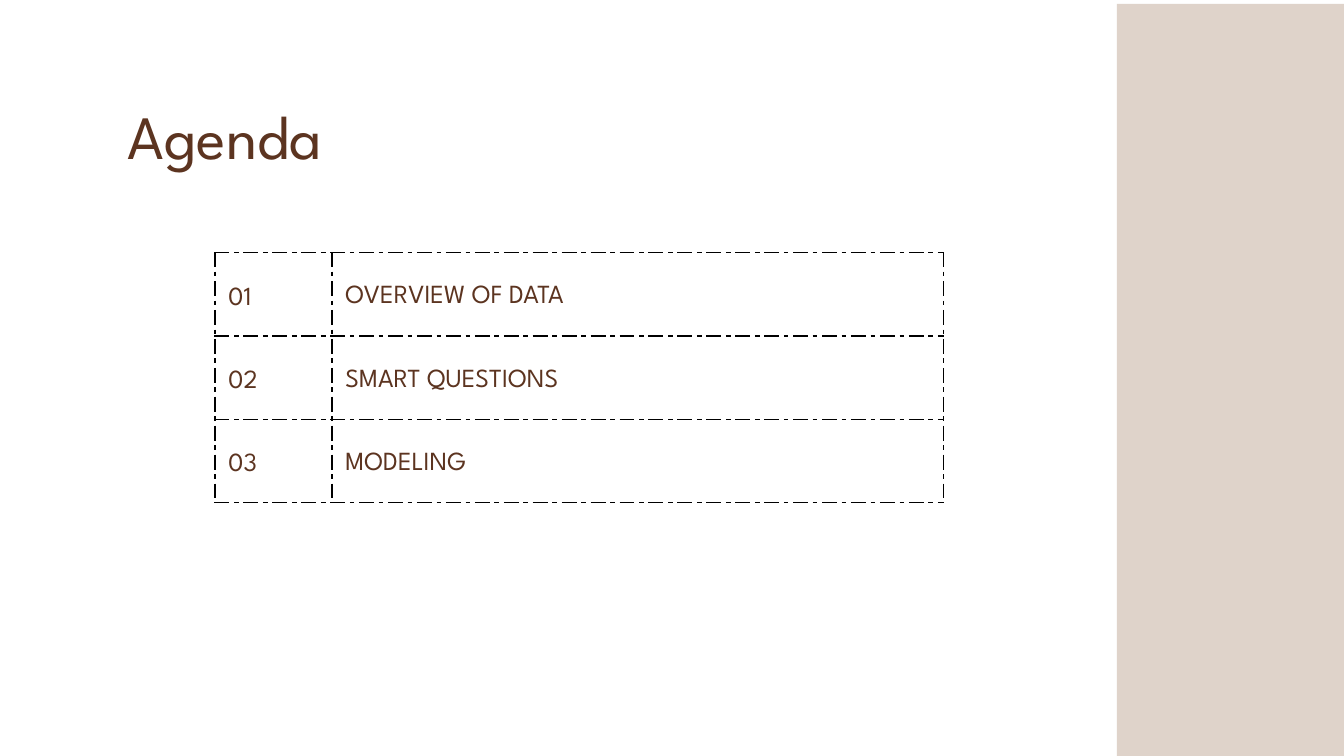
import pptx
import pptx.dml.color
import pptx.enum.shapes
import pptx.enum.text
import pptx.oxml
import pptx.oxml.ns
import pptx.util

BROWN = pptx.dml.color.RGBColor(0x5C, 0x34, 0x20)
SAND = pptx.dml.color.RGBColor(0xDF, 0xD3, 0xCA)
BLACK = pptx.dml.color.RGBColor(0, 0, 0)
FONT = "League Spartan"
WIDTH = 10
HEIGHT = WIDTH * 9 / 16
COLUMNS = (0.87, 4.55)
ROW_HEIGHT = 0.62
TOPICS = ("OVERVIEW OF DATA", "SMART QUESTIONS", "MODELING")


def inches(*values):
    return [pptx.util.Inches(v) for v in values]


def set_text(tf, text, size=14, spacing=1.0, color=BROWN):
    p = tf.paragraphs[0]
    p.alignment = pptx.enum.text.PP_ALIGN.LEFT
    p.line_spacing = spacing
    r = p.add_run()
    r.text = text
    r.font.name = FONT
    r.font.size = pptx.util.Pt(size)
    r.font.color.rgb = color


def add_title(slide, text):
    sp = slide.shapes.title
    sp.left, sp.top, sp.width, sp.height = inches(0.95, 0.62, 2.36, 0.56)
    tf = sp.text_frame
    tf.margin_left = tf.margin_right = tf.margin_top = tf.margin_bottom = 0
    tf.word_wrap = True
    tf.vertical_anchor = pptx.enum.text.MSO_ANCHOR.TOP
    tf.auto_size = pptx.enum.text.MSO_AUTO_SIZE.SHAPE_TO_FIT_TEXT
    set_text(tf, text, size=33, spacing=1.2)


def add_side_band(slide):
    left, top = 8.31, 0.03
    sp = slide.shapes.add_shape(
        pptx.enum.shapes.MSO_SHAPE.RECTANGLE,
        *inches(left, top, WIDTH - left, HEIGHT))
    sp.shadow.inherit = False
    sp.fill.solid()
    sp.fill.fore_color.rgb = SAND
    sp.line.fill.background()


def set_borders(cell, color=BLACK, width=0.75, dash="dashDot"):
    tc_pr = cell._tc.get_or_add_tcPr()
    for side in ("lnL", "lnR", "lnT", "lnB"):
        tc_pr.append(pptx.oxml.parse_xml(
            f'<a:{side} {pptx.oxml.ns.nsdecls("a")} w="{pptx.util.Pt(width)}">'
            f'<a:solidFill><a:srgbClr val="{color}"/></a:solidFill>'
            f'<a:prstDash val="{dash}"/></a:{side}>'))


def fill_cell(cell, text, spacing):
    set_borders(cell)
    cell.fill.background()
    cell.margin_left = cell.margin_right = pptx.util.Inches(0.1)
    cell.margin_top = cell.margin_bottom = pptx.util.Inches(0.1)
    cell.vertical_anchor = pptx.enum.text.MSO_ANCHOR.MIDDLE
    set_text(cell.text_frame, text, spacing=spacing)


def add_agenda(slide, topics):
    table = slide.shapes.add_table(
        len(topics), len(COLUMNS),
        *inches(1.6, 1.88, sum(COLUMNS), ROW_HEIGHT * len(topics))).table
    table.first_row = table.horz_banding = False
    for column, width in zip(table.columns, COLUMNS):
        column.width = pptx.util.Inches(width)
    for i, topic in enumerate(topics):
        table.rows[i].height = pptx.util.Inches(ROW_HEIGHT)
        fill_cell(table.cell(i, 0), f"{i + 1:02}", spacing=1.4)
        fill_cell(table.cell(i, 1), topic, spacing=1.28)


def main():
    prs = pptx.Presentation()
    prs.slide_width, prs.slide_height = inches(WIDTH, HEIGHT)
    slide = prs.slides.add_slide(prs.slide_layouts[5])
    add_side_band(slide)
    add_agenda(slide, TOPICS)
    add_title(slide, "Agenda")
    prs.save("out.pptx")


if __name__ == "__main__":
    main()
